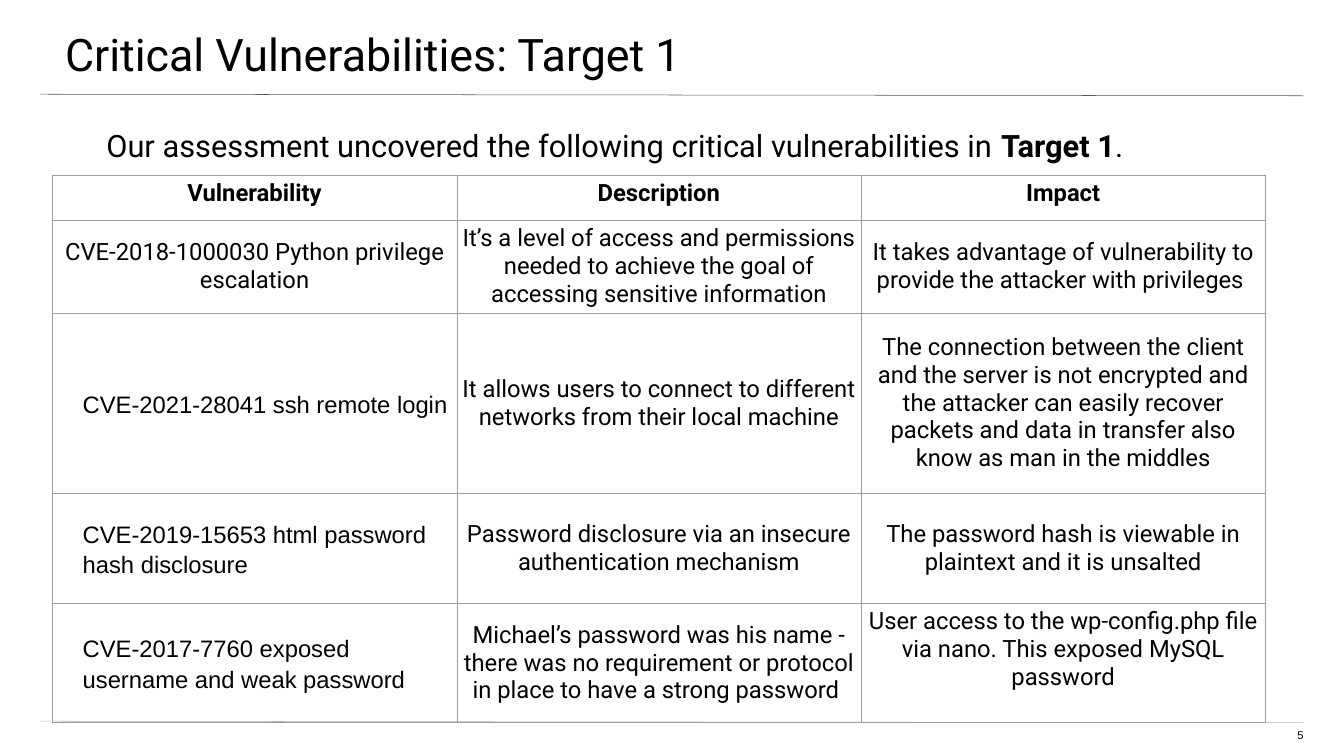
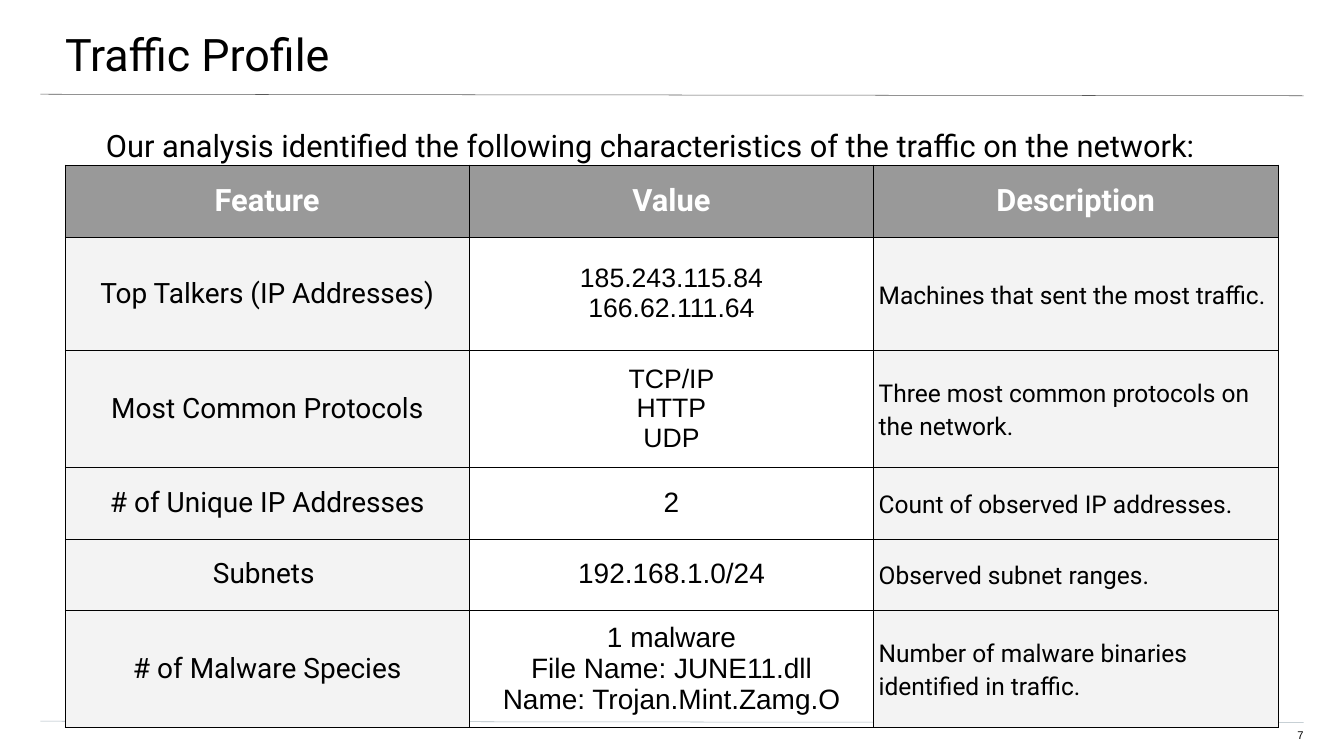
from dataclasses import dataclass
from lxml.etree import SubElement
from pptx import Presentation
from pptx.dml.color import RGBColor
from pptx.enum.shapes import MSO_CONNECTOR
from pptx.enum.text import MSO_ANCHOR, MSO_AUTO_SIZE, PP_ALIGN
from pptx.oxml.ns import qn
from pptx.util import Pt

PX = 9144
WIDE, HIGH = 2666, 1500
BLACK = RGBColor(0x00, 0x00, 0x00)
WHITE = RGBColor(0xFF, 0xFF, 0xFF)
DARK = RGBColor(0x59, 0x59, 0x59)
MIST = RGBColor(0xA9, 0xB7, 0xC0)
EDGE = RGBColor(0x9E, 0x9E, 0x9E)
HEAD = RGBColor(0x99, 0x99, 0x99)
PALE = RGBColor(0xF3, 0xF3, 0xF3)
ROBOTO, ARIAL = "Roboto", "Arial"
COL, SIDE, PAD = 802, 10, 9


@dataclass
class Look:
    size: int
    face: str = ROBOTO
    color: RGBColor = BLACK
    bold: bool = False
    align: PP_ALIGN = PP_ALIGN.CENTER
    fill: RGBColor = None
    anchor: MSO_ANCHOR = MSO_ANCHOR.MIDDLE
    indent: int = 0
    space: float = None
    after: int = None
    bottom: int = PAD


def px(*nums):
    return [num * PX for num in nums]


def style(para, look):
    if look.indent:
        para._p.get_or_add_pPr().set("marL", str(look.indent * PX))
    para.alignment = look.align
    if look.space:
        para.line_spacing = look.space
    if look.after:
        para.space_after = Pt(look.after)
    font = para.font
    font.size, font.name, font.bold = Pt(look.size), look.face, look.bold
    font.color.rgb = look.color


def add_text(slide, box, pads, runs, look):
    frame = slide.shapes.add_textbox(*px(*box)).text_frame
    frame.word_wrap = True
    frame.auto_size = MSO_AUTO_SIZE.NONE
    frame.vertical_anchor = MSO_ANCHOR.TOP
    (frame.margin_left, frame.margin_top,
     frame.margin_right, frame.margin_bottom) = px(*pads)
    para = frame.paragraphs[0]
    style(para, look)
    for text, bold in runs:
        run = para.add_run()
        run.text = text
        if bold:
            run.font.bold = True


def add_rule(slide, top, color):
    line = slide.shapes.add_connector(
        MSO_CONNECTOR.STRAIGHT, *px(80, top, 2586, top + 3))
    line.line.color.rgb = color
    line.line.width = Pt(0.75)
    SubElement(line._element.spPr, qn("a:effectLst"))


def add_frame(deck, title, number, intro, box, after=None):
    slide = deck.slides.add_slide(deck.slide_layouts[6])
    left = PP_ALIGN.LEFT
    add_rule(slide, 187, DARK)
    add_rule(slide, 1431, MIST)
    add_text(slide, (-4, 0, 2673, 156), (133, 53, 80, 0),
             [(title, False)], Look(64, align=left))
    add_text(slide, (2510, 1446, 76, 31), (0, 0, 0, 0),
             [(number, False)], Look(16, ARIAL, align=PP_ALIGN.RIGHT))
    add_text(slide, box, (133, 0, 133, 0), intro,
             Look(44, align=left, after=after))
    return slide


def add_edges(cell, color):
    props = cell._tc.get_or_add_tcPr()
    for side in ("lnL", "lnR", "lnT", "lnB"):
        line = SubElement(props, qn("a:" + side), w=str(Pt(0.75)))
        fill = SubElement(line, qn("a:solidFill"))
        SubElement(fill, qn("a:srgbClr"), val=str(color))


def fill_cell(cell, text, look, edge):
    add_edges(cell, edge)
    if look.fill is None:
        cell.fill.background()
    else:
        cell.fill.solid()
        cell.fill.fore_color.rgb = look.fill
    cell.margin_left = cell.margin_right = SIDE * PX
    cell.margin_top, cell.margin_bottom = px(PAD, look.bottom)
    cell.vertical_anchor = look.anchor
    cell.text = text
    for para in cell.text_frame.paragraphs:
        style(para, look)


def add_grid(slide, left, top, highs, rows, pick, edge):
    wide = len(rows[0])
    grid = slide.shapes.add_table(
        len(rows), wide, *px(left, top, wide * COL, sum(highs))).table
    for col in grid.columns:
        col.width = COL * PX
    for i, (high, row) in enumerate(zip(highs, rows)):
        grid.rows[i].height = high * PX
        for j, text in enumerate(row):
            fill_cell(grid.cell(i, j), text, pick(i, j), edge)


def add_flaws(deck):
    slide = add_frame(
        deck, "Critical Vulnerabilities: Target 1", "5",
        [("Our assessment uncovered the following critical vulnerabilities in ", False),
         ("Target 1", True), (".", False)], (78, 251, 2509, 1100))
    rows = [
        ("Vulnerability", "Description", "Impact"),
        ("CVE-2018-1000030 Python privilege escalation",
         "It’s a level of access and permissions needed to achieve the goal of "
         "accessing sensitive information",
         "It takes advantage of vulnerability to provide the attacker with privileges "),
        ("CVE-2021-28041 ssh remote login",
         "It allows users to connect to different networks from their local machine",
         "The connection between the client and the server is not encrypted and the "
         "attacker can easily recover packets and data in transfer also know as man "
         "in the middles"),
        ("CVE-2019-15653 html password hash disclosure",
         "Password disclosure via an insecure authentication mechanism",
         "The password hash is viewable in plaintext and it is unsalted"),
        ("CVE-2017-7760 exposed username and weak password",
         "Michael’s password was his name - there was no requirement or protocol "
         "in place to have a strong password ",
         "User access to the wp-config.php file via nano. This exposed MySQL password"),
    ]
    head = Look(34, bold=True, anchor=MSO_ANCHOR.TOP)
    body = Look(34)
    code = Look(34, ARIAL, align=PP_ALIGN.LEFT, indent=50, space=1.15, after=12)
    last = Look(34, bottom=62)

    def pick(i, j):
        if i == 0:
            return head
        if j == 0 and i > 1:
            return code
        return last if (i, j) == (4, 2) else body

    add_grid(slide, 104, 347, (90, 157, 357, 219, 219), rows, pick, EDGE)


def add_traffic(deck):
    slide = add_frame(
        deck, "Traffic Profile", "7",
        [("Our analysis identified the following characteristics of the traffic "
          "on the network:", False)], (77, 251, 2509, 1079), 12)
    rows = [
        ("Feature", "Value", "Description"),
        ("Top Talkers (IP Addresses)", "185.243.115.84\n166.62.111.64",
         "Machines that sent the most traffic."),
        ("Most Common Protocols", "TCP/IP\nHTTP\nUDP",
         "Three most common protocols on the network."),
        ("# of Unique IP Addresses", "2", "Count of observed IP addresses."),
        ("Subnets ", "192.168.1.0/24", "Observed subnet ranges."),
        ("# of Malware Species",
         "1 malware\nFile Name: JUNE11.dll\nName: Trojan.Mint.Zamg.O",
         "Number of malware binaries identified in traffic."),
    ]
    head = Look(44, color=WHITE, bold=True, fill=HEAD)
    name = Look(40, fill=PALE)
    note = Look(35, align=PP_ALIGN.LEFT, fill=PALE, space=1.15, after=10)

    def pick(i, j):
        if i == 0:
            return head
        return (name, Look(38 if i < 3 else 40, ARIAL), note)[j]

    add_grid(slide, 129, 327, (144, 223, 234, 141, 141, 234), rows, pick, BLACK)


def main():
    deck = Presentation()
    deck.slide_width, deck.slide_height = px(WIDE, HIGH)
    add_flaws(deck)
    add_traffic(deck)
    deck.save("out.pptx")


if __name__ == "__main__":
    main()
